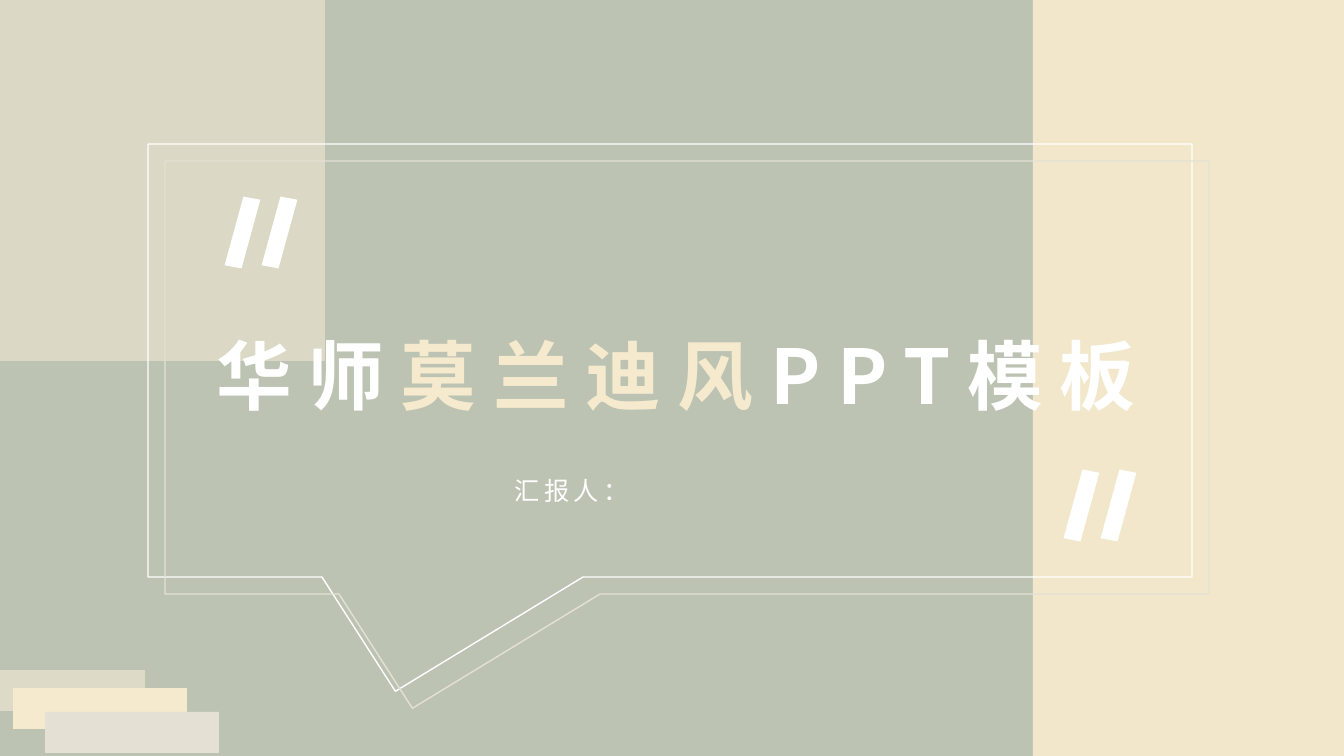
"""Build a muted-colour cover slide with a speech-bubble frame around its title."""
import pptx
import pptx.dml.color
import pptx.enum.shapes
import pptx.enum.text
import pptx.oxml.ns
import pptx.util
from lxml import etree

SHAPE = pptx.enum.shapes.MSO_SHAPE
EMU_PER_PX = 914400 / 100.8
LINE_RATIO = 1.19

WHITE, CREAM, STONE = "FFFFFF", "F5EACE", "E4E1D4"
PANELS = [
    (-25, -1, 1369, 767, "BCC3B3"),
    (1033, -1, 328, 767, "F2E7CB"),
    (-25, 0, 350, 361, "DBD8C5"),
]
BUBBLE = (148, 144, 1044, 433)
BUBBLE_LINES = [(0, WHITE), (17, STONE)]
QUOTE_MARKS = [(268, 197), (231, 197), (1070, 470), (1107, 470)]
QUOTE_SIZE = (23, 71)
TITLE = [("华师", WHITE), ("莫兰迪风", CREAM), ("PPT模板", WHITE)]
REPORTER = [("汇报人：", WHITE)]
CARDS = [(-29, 670, "DDDBC8"), (13, 688, CREAM), (45, 712, STONE)]
CARD_SIZE = (174, 41)


def px(length):
    return pptx.util.Emu(round(length * EMU_PER_PX))


def colour(value):
    return pptx.dml.color.RGBColor.from_string(value)


def add_shape(page, kind, left, top, width, height, fill=None, line=None):
    shape = page.shapes.add_shape(kind, px(left), px(top), px(width), px(height))
    shape.shadow.inherit = False
    if fill:
        shape.fill.solid()
        shape.fill.fore_color.rgb = colour(fill)
    else:
        shape.fill.background()
    if line:
        shape.line.color.rgb = colour(line)
        shape.line.width = pptx.util.Pt(1)
    else:
        shape.line.fill.background()
    return shape


def write_text(box, spans, size, face, spacing, bold=False):
    frame = box.text_frame
    frame.word_wrap = True
    frame.auto_size = pptx.enum.text.MSO_AUTO_SIZE.NONE
    frame.vertical_anchor = pptx.enum.text.MSO_ANCHOR.TOP
    para = frame.paragraphs[0]
    para.alignment = pptx.enum.text.PP_ALIGN.LEFT
    para.line_spacing = pptx.util.Pt(round(size * LINE_RATIO, 1))
    para.space_before = pptx.util.Pt(0)
    for text, tint in spans:
        span = para.add_run()
        span.text = text
        span.font.size = pptx.util.Pt(size)
        span.font.bold = bold
        span.font.color.rgb = colour(tint)
        span.font.name = face
        properties = span.font._element
        properties.set("spc", str(spacing * 100))
        etree.SubElement(properties, pptx.oxml.ns.qn("a:ea"), typeface=face)


def main():
    deck = pptx.Presentation()
    deck.slide_width, deck.slide_height = px(1344), px(756)
    page = deck.slides.add_slide(deck.slide_layouts[5])

    for left, top, width, height, fill in PANELS:
        add_shape(page, SHAPE.RECTANGLE, left, top, width, height, fill=fill)

    left, top, width, height = BUBBLE
    for shift, line in BUBBLE_LINES:
        bubble = add_shape(page, SHAPE.RECTANGULAR_CALLOUT, left + shift, top + shift,
                           width, height, line=line)
        bubble.adjustments[0] = -0.263
        bubble.adjustments[1] = 0.764

    for left, top in QUOTE_MARKS:
        mark = add_shape(page, SHAPE.PARALLELOGRAM, left, top, *QUOTE_SIZE, fill=WHITE)
        mark.rotation = 10.7

    title = page.shapes.title
    title.left, title.top, title.width, title.height = px(206), px(325), px(966), px(102)
    write_text(title, TITLE, size=54, face="Noto Sans CJK JP", spacing=12, bold=True)
    page.shapes.element.append(title.element)

    reporter = page.shapes.add_textbox(px(505), px(471), px(365), px(40))
    write_text(reporter, REPORTER, size=18, face="Noto Sans CJK SC", spacing=3)

    for left, top, fill in CARDS:
        add_shape(page, SHAPE.RECTANGLE, left, top, *CARD_SIZE, fill=fill)

    deck.save("out.pptx")


if __name__ == "__main__":
    main()
